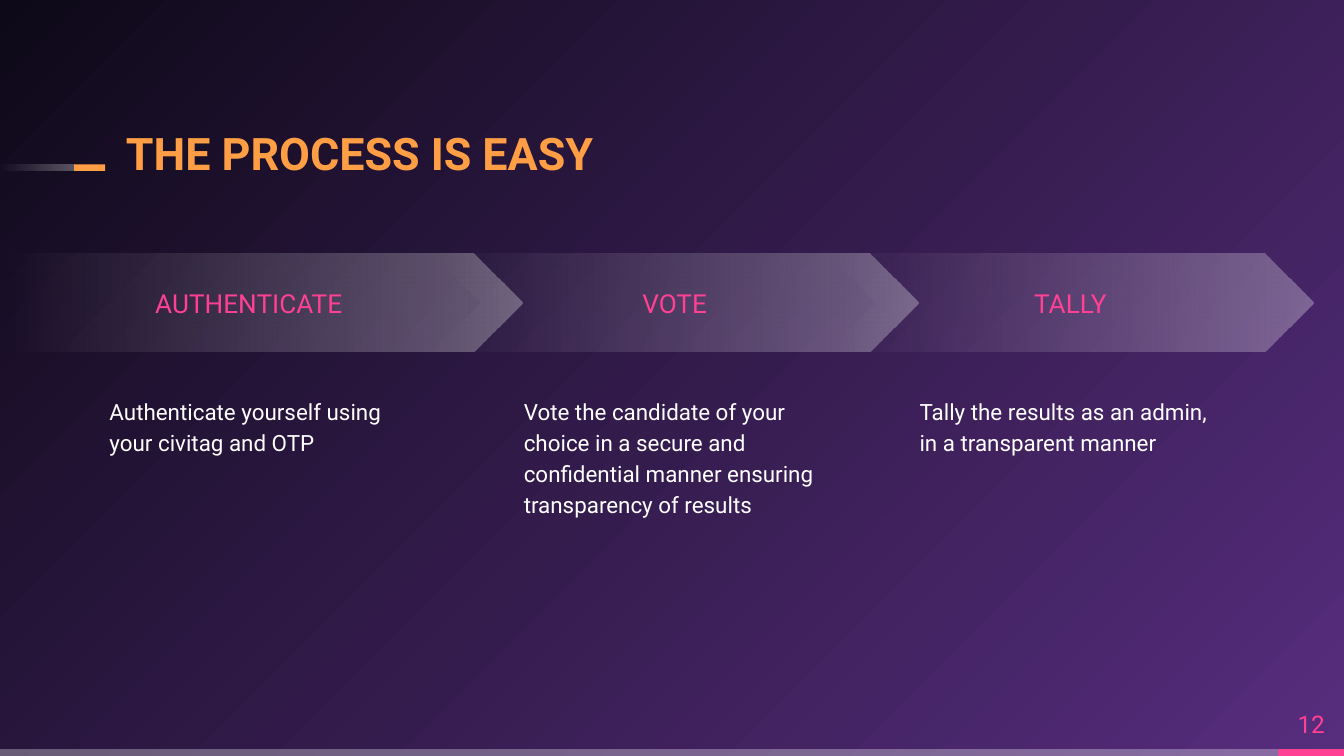
import pptx
import pptx.util
import pptx.dml.color
import pptx.enum.shapes
import pptx.enum.text
import pptx.oxml.ns
from lxml import etree

WHITE = pptx.dml.color.RGBColor(0xFF, 0xFF, 0xFF)
PINK = pptx.dml.color.RGBColor(0xFF, 0x40, 0x93)
ORANGE = pptx.dml.color.RGBColor(0xFF, 0x9E, 0x44)
VIOLET = pptx.dml.color.RGBColor(0x57, 0x2D, 0x7E)
NIGHT = pptx.dml.color.RGBColor(0x0E, 0x09, 0x18)

FONT = "Roboto"
WIDE, HIGH = 25.4, 14.29
SHAPE = pptx.enum.shapes.MSO_SHAPE
ALIGN = pptx.enum.text.PP_ALIGN
ANCHOR = pptx.enum.text.MSO_ANCHOR

STEPS = [
    ("AUTHENTICATE", "Authenticate yourself using your civitag and OTP"),
    ("VOTE", "Vote the candidate of your choice in a secure and "
             "confidential manner ensuring transparency of results"),
    ("TALLY", "Tally the results as an admin, in a transparent manner"),
]


def cm(box):
    return [pptx.util.Cm(side) for side in box]


def add(node, tag, **attrs):
    return etree.SubElement(node, pptx.oxml.ns.qn(tag), **attrs)


def set_alpha(color, share):
    add(color, "a:alpha", val=str(share * 1000))


def set_stops(root, stops):
    """Refill the gradient under root with (place, color, alpha) stops."""
    grad = next(root.iter(pptx.oxml.ns.qn("a:gradFill")))
    for child in list(grad):
        grad.remove(child)
    items = add(grad, "a:gsLst")
    for place, color, alpha in stops:
        stop = add(items, "a:gs", pos=str(place * 1000))
        set_alpha(add(stop, "a:srgbClr", val=str(color)), alpha)
    return grad


def add_shape(slide, kind, box, color=None, alpha=100):
    """Add a borderless shape; without a color it fades out to the left."""
    shape = slide.shapes.add_shape(kind, *cm(box))
    shape.shadow.inherit = False
    shape.line.fill.background()
    if color is None:
        shape.fill.gradient()
        grad = set_stops(shape._element.spPr, [(0, WHITE, 30), (100, WHITE, 0)])
        add(grad, "a:lin", ang="10800000", scaled="0")
    else:
        shape.fill.solid()
        shape.fill.fore_color.rgb = color
        if alpha < 100:
            set_alpha(next(shape._element.spPr.iter(pptx.oxml.ns.qn("a:srgbClr"))), alpha)
    return shape


def write(shape, text, size, color, inset=0.25, anchor=ANCHOR.MIDDLE,
          align=ALIGN.CENTER, space=1.0, bold=False):
    frame = shape.text_frame
    frame.word_wrap = True
    frame.auto_size = pptx.enum.text.MSO_AUTO_SIZE.NONE
    frame.vertical_anchor = anchor
    frame.margin_left = frame.margin_right = pptx.util.Cm(inset)
    frame.margin_top = frame.margin_bottom = pptx.util.Cm(inset)
    para = frame.paragraphs[0]
    para.alignment = align
    para.line_spacing = space
    run = para.add_run()
    run.text = text
    run.font.name = FONT
    run.font.size = pptx.util.Pt(size)
    run.font.bold = bold
    run.font.color.rgb = color


def paint_back(slide):
    # Radial glow from the bottom right corner
    slide.background.fill.gradient()
    grad = set_stops(slide._element, [(0, VIOLET, 100), (100, NIGHT, 100)])
    glow = add(grad, "a:path", path="circle")
    add(glow, "a:fillToRect", l="100000", t="100000")


def add_title(slide, box, text):
    left, top, wide, high = box
    # Dash that leads in from the slide edge
    dash = top + 0.79
    add_shape(slide, SHAPE.RECTANGLE, (0, dash, 1.41, 0.12))
    add_shape(slide, SHAPE.RECTANGLE, (1.4, dash, 0.59, 0.12), ORANGE)
    # Title text
    title = slide.shapes.title
    title.left, title.top, title.width, title.height = cm(box)
    write(title, text, 24, ORANGE, 0, ANCHOR.BOTTOM, ALIGN.LEFT, 0.9, True)


def add_steps(slide, box):
    left, top, wide, high = box
    pitch, arrow, band = 7.48, 9.2, 1.86
    start = left + wide - arrow - pitch * (len(STEPS) - 1)
    for i, (name, note) in enumerate(STEPS):
        x = start + i * pitch
        # Arrow: the first one runs in from the left edge
        if i == 0:
            kind, place = SHAPE.PENTAGON, (left, top, x + arrow - left, band)
        else:
            kind, place = SHAPE.CHEVRON, (x, top, arrow, band)
        step = add_shape(slide, kind, place)
        step.adjustments[0] = 0.5
        write(step, name, 14, PINK)
        # Caption below
        edge = x + 1.5 if i else left + 1.82
        note_box = slide.shapes.add_textbox(*cm((edge, top + 2.41, 6.22, high - 2.41)))
        write(note_box, note, 12, WHITE, anchor=ANCHOR.TOP, align=ALIGN.LEFT, space=1.15)


def add_footer(slide, box, number):
    left, top, wide, high = box
    tab, bar = 1.24, 0.13
    edge, base = left + wide - tab, top + high - bar
    # Bottom bar and page tab
    add_shape(slide, SHAPE.RECTANGLE, (left, base, edge - left + 0.07, bar), WHITE, 30)
    add_shape(slide, SHAPE.RECTANGLE, (edge, base, tab, bar), PINK)
    # Page number
    page = slide.shapes.add_textbox(*cm((edge, top, tab, high - bar)))
    write(page, number, 13, PINK, 0)


def main():
    deck = pptx.Presentation()
    deck.slide_width, deck.slide_height = cm((WIDE, HIGH))
    slide = deck.slides.add_slide(deck.slide_layouts[5])
    paint_back(slide)
    add_footer(slide, (0, 13.19, WIDE, 1.1), "12")
    add_title(slide, (2.38, 2.32, 14.73, 1.09), "THE PROCESS IS EASY")
    add_steps(slide, (0, 4.79, 24.83, 7.41))
    deck.save("out.pptx")


if __name__ == "__main__":
    main()
